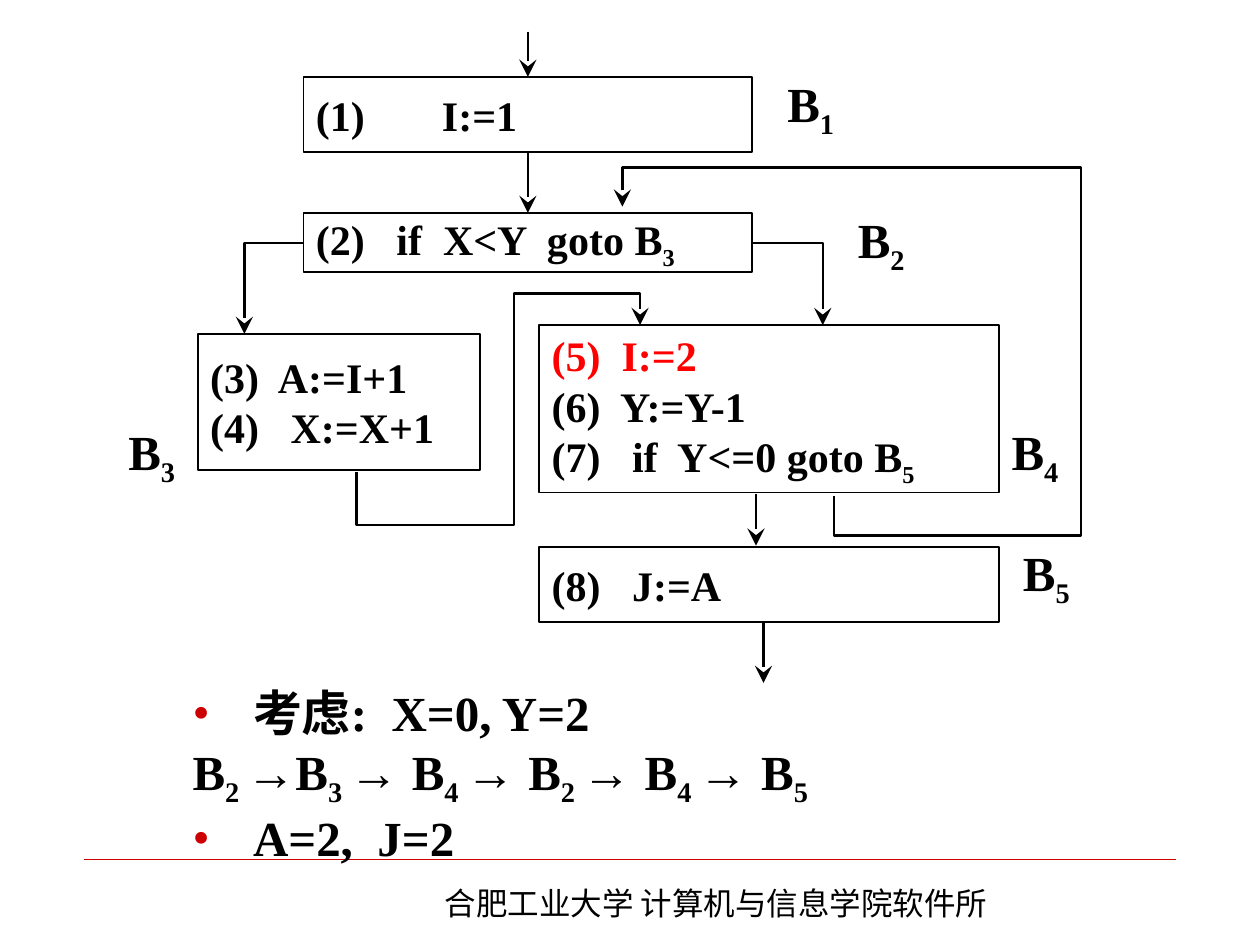
import pptx
import pptx.util
import pptx.dml.color
import pptx.enum.shapes
import pptx.enum.text
import pptx.oxml.ns
from lxml import etree

W, H = 10, 7.5
SERIF, ARROW_FONT, CJK = "Times New Roman", "Arial", "Noto Sans CJK SC"
COLORS = {"ink": "000000", "accent": "FF0000", "bullet": "CC0000"}

# Text is a list of paragraphs; "_" puts the character after it in subscript.
BLOCKS = {  # name: (left, top, width, height), paragraphs
    "B1": ((2.41, 0.61, 3.56, 0.6), ["(1)\tI:=1"]),
    "B2": ((2.41, 1.69, 3.56, 0.47), ["(2)   if  X<Y  goto B_3"]),
    "B3": ((1.57, 2.65, 2.24, 1.08), ["(3)  A:=I+1", "(4)   X:=X+1"]),
    "B4": ((4.28, 2.58, 3.65, 1.33),
           ["(5)  I:=2", "(6)  Y:=Y-1", "(7)   if  Y<=0 goto B_5"]),
    "B5": ((4.28, 4.34, 3.65, 0.6), ["(8)   J:=A"]),
}
HIGHLIGHT = "(5)  I:=2"
LABEL_SIZE = (0.62, 0.72)
LABELS = [("B_1", 6.15, 0.49), ("B_2", 6.71, 1.57), ("B_3", 0.92, 3.25),
          ("B_4", 7.93, 3.25), ("B_5", 8.02, 4.21)]
ARROWS = [  # from, to, block left, block entered
    ((4.19, 0.25), (4.19, 0.61), None, "B1"),
    ((4.19, 1.21), (4.19, 1.69), "B1", "B2"),
    ((6, 3.92), (6, 4.33), None, None),
    ((6.06, 4.94), (6.06, 5.42), None, None),
]
BENT_ARROWS = [
    [(2.41, 1.93), (1.94, 1.93), (1.94, 2.65)],
    [(5.97, 1.93), (6.53, 1.93), (6.53, 2.58)],
    [(6.62, 3.94), (6.62, 4.25), (8.58, 4.25), (8.58, 1.33), (4.94, 1.33), (4.94, 1.64)],
    [(2.83, 3.75), (2.83, 4.17), (4.08, 4.17), (4.08, 2.33), (5.08, 2.33), (5.08, 2.58)],
]
TRACE = [2, 3, 4, 2, 4, 5]
GIVEN, RESULT = "考虑:  X=0, Y=2", "A=2,  J=2"
FOOTER = "合肥工业大学 计算机与信息学院软件所"

inch = pptx.util.Inches


def rgb(name):
    return pptx.dml.color.RGBColor.from_string(COLORS[name])


def sub(parent, tag, **attrs):
    return etree.SubElement(parent, pptx.oxml.ns.qn(tag), attrs)


def set_font(p, size, bold=True, name=SERIF, color="ink"):
    f = p.font
    f.size, f.bold, f.name = pptx.util.Pt(size), bold, name
    f.color.rgb = rgb(color)


def add_run(p, text, subscript=False, name=None):
    r = p.add_run()
    r.text = text
    if subscript:
        r.font._element.set("baseline", "-25000")
    if name:
        r.font.name = name


def add_marked(p, text):
    head, *tails = text.split("_")
    add_run(p, head)
    for t in tails:
        add_run(p, t[0], subscript=True)
        if t[1:]:
            add_run(p, t[1:])


def paragraphs(tf, count):
    return [tf.paragraphs[0]] + [tf.add_paragraph() for _ in range(count - 1)]


def write_code(sp, lines, size):
    tf = sp.text_frame
    tf.word_wrap = False
    tf.vertical_anchor = pptx.enum.text.MSO_ANCHOR.MIDDLE
    for p, line in zip(paragraphs(tf, len(lines)), lines):
        p.alignment = pptx.enum.text.PP_ALIGN.LEFT
        if "\t" in line:
            tabs = sub(p._p.get_or_add_pPr(), "a:tabLst")
            sub(tabs, "a:tab", pos=str(inch(1)), algn="l")
        set_font(p, size, color="accent" if line == HIGHLIGHT else "ink")
        add_marked(p, line)


def style_line(sp, width=1.25, color="ink", head=True):
    sp.line.color.rgb = rgb(color)
    sp.line.width = pptx.util.Pt(width)
    if head:
        sub(sp.line._get_or_add_ln(), "a:tailEnd", type="stealth", w="lg", len="lg")


def add_line(s, start, end):
    c = s.shapes.add_connector(pptx.enum.shapes.MSO_CONNECTOR.STRAIGHT,
                               *map(inch, start + end))
    sub(c._element.spPr, "a:effectLst")
    return c


def add_box(s, box):
    return s.shapes.add_textbox(*map(inch, box))


def add_footer(s):
    rule = add_line(s, (W / 15, 6.82), (W * 14 / 15, 6.82))
    style_line(rule, width=0.25, color="bullet", head=False)
    tf = add_box(s, (3.43, 6.97, 4.72, 0.4)).text_frame
    tf.word_wrap = True
    p = tf.paragraphs[0]
    set_font(p, 18, bold=False, name=CJK)
    sub(p.font._element, "a:ea", typeface=CJK)
    add_run(p, FOOTER)


def add_worked_example(s):
    tf = add_box(s, (0.92, 5.42, 8.5, 1.58)).text_frame
    tf.word_wrap = True
    given, trace, result = paragraphs(tf, 3)
    for p in (given, trace, result):
        pPr = p._p.get_or_add_pPr()
        pPr.set("marL", str(inch(0.99)))
        pPr.set("indent", str(inch(-0.48)))
        p.line_spacing = 0.9
        if p is result:
            p.space_before = pptx.util.Pt(7)
        if p is trace:
            sub(pPr, "a:buNone")
        else:
            sub(sub(pPr, "a:buClr"), "a:srgbClr", val=COLORS["bullet"])
            sub(pPr, "a:buFont", typeface=SERIF)
            sub(pPr, "a:buChar", char="•")
        set_font(p, 28)
    add_run(given, GIVEN)
    add_run(result, RESULT)
    last = len(TRACE) - 1
    for i, n in enumerate(TRACE):
        add_run(trace, "B")
        add_run(trace, str(n) if i == last else f"{n} ", subscript=True)
        if i < last:
            add_run(trace, "→ " if i else "→", name=ARROW_FONT)


def add_flow_graph(s):
    blocks = {}
    for name, (box, lines) in BLOCKS.items():
        sp = s.shapes.add_shape(pptx.enum.shapes.MSO_SHAPE.RECTANGLE, *map(inch, box))
        sp.shadow.inherit = False
        sp.fill.background()
        style_line(sp, width=1, head=False)
        write_code(sp, lines, 24)
        blocks[name] = sp
    for text, left, top in LABELS:
        write_code(add_box(s, (left, top, *LABEL_SIZE)), [text], 28)
    for start, end, source, target in ARROWS:
        c = add_line(s, start, end)
        style_line(c)
        if source:
            c.begin_connect(blocks[source], 2)
        if target:
            c.end_connect(blocks[target], 0)
    for start, *rest in BENT_ARROWS:
        fb = s.shapes.build_freeform(*map(inch, start))
        fb.add_line_segments([tuple(map(inch, pt)) for pt in rest], close=False)
        sp = fb.convert_to_shape()
        sp.shadow.inherit = False
        sp.fill.background()
        style_line(sp)


def main():
    prs = pptx.Presentation()
    prs.slide_width, prs.slide_height = inch(W), inch(H)
    s = prs.slides.add_slide(prs.slide_layouts[6])
    add_footer(s)
    add_worked_example(s)
    add_flow_graph(s)
    prs.save("out.pptx")


if __name__ == "__main__":
    main()
